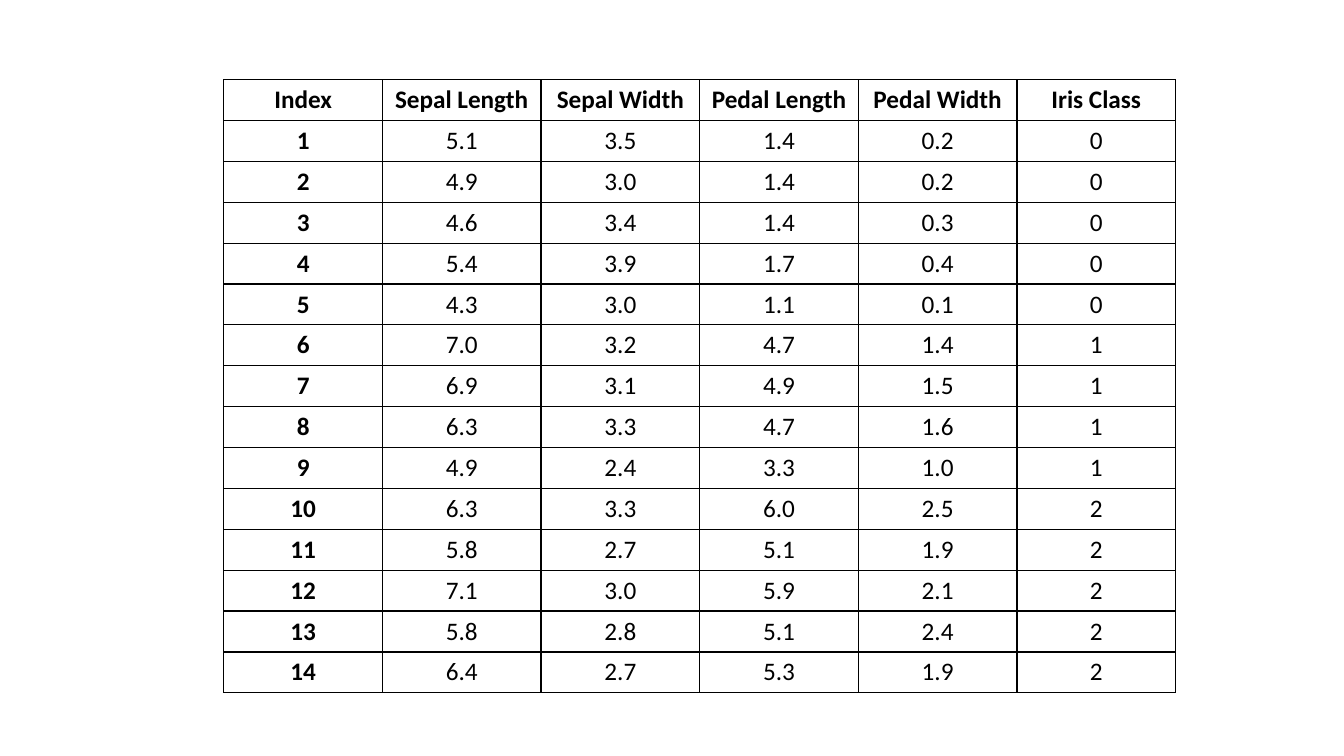
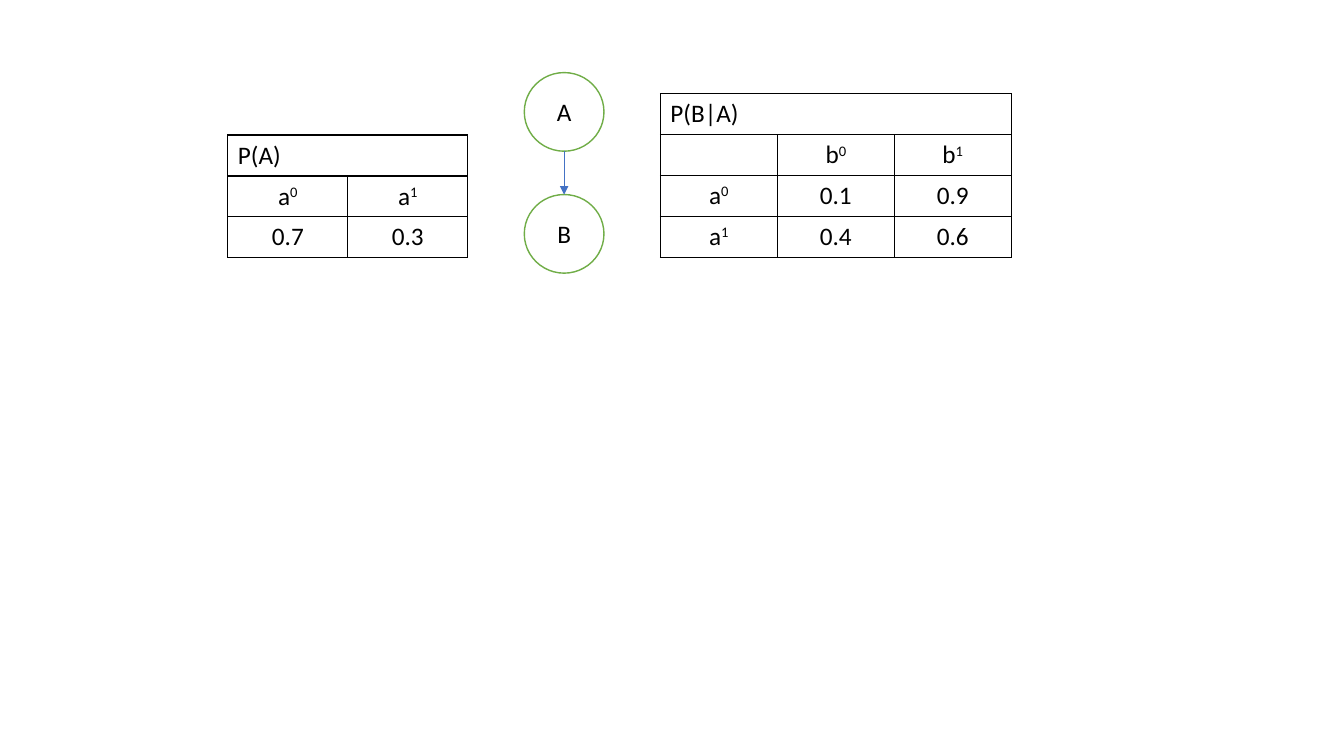
from lxml.etree import SubElement
from pptx import Presentation
from pptx.dml.color import RGBColor
from pptx.enum.shapes import MSO_CONNECTOR as Connector, MSO_SHAPE as Shape
from pptx.enum.text import MSO_ANCHOR as Anchor, PP_ALIGN as Align
from pptx.oxml.ns import qn
from pptx.util import Inches, Pt

BLACK = RGBColor(0x00, 0x00, 0x00)
WHITE = RGBColor(0xFF, 0xFF, 0xFF)
GREEN = RGBColor(0x70, 0xAD, 0x47)
BLUE = RGBColor(0x44, 0x72, 0xC4)

FONT = "Calibri"
TEXT_SIZE = Pt(18)
ROW_HEIGHT = Pt(29.2)
BLANK_LAYOUT = 6
NODE_LEFT, NODE_WIDTH, NODE_HEIGHT = Inches(5.2), Inches(0.79), Inches(0.78)

IRIS_HEADER = ["Index", "Sepal Length", "Sepal Width", "Pedal Length", "Pedal Width", "Iris Class"]
IRIS_SAMPLES = [
    ["5.1", "3.5", "1.4", "0.2", "0"],
    ["4.9", "3.0", "1.4", "0.2", "0"],
    ["4.6", "3.4", "1.4", "0.3", "0"],
    ["5.4", "3.9", "1.7", "0.4", "0"],
    ["4.3", "3.0", "1.1", "0.1", "0"],
    ["7.0", "3.2", "4.7", "1.4", "1"],
    ["6.9", "3.1", "4.9", "1.5", "1"],
    ["6.3", "3.3", "4.7", "1.6", "1"],
    ["4.9", "2.4", "3.3", "1.0", "1"],
    ["6.3", "3.3", "6.0", "2.5", "2"],
    ["5.8", "2.7", "5.1", "1.9", "2"],
    ["7.1", "3.0", "5.9", "2.1", "2"],
    ["5.8", "2.8", "5.1", "2.4", "2"],
    ["6.4", "2.7", "5.3", "1.9", "2"],
]
PRIOR = [["a^0", "a^1"], ["0.7", "0.3"]]
CONDITIONAL = [["", "b^0", "b^1"], ["a^0", "0.1", "0.9"], ["a^1", "0.4", "0.6"]]


def add_span(para, text, bold=False, raised=False):
    span = para.add_run()
    span.text = text
    span.font.name = FONT
    span.font.size = TEXT_SIZE
    span.font.bold = bold
    span.font.color.rgb = BLACK
    if raised:
        span._r.get_or_add_rPr().set("baseline", "30000")


def write(frame, text, bold=False, align=Align.CENTER):
    para = frame.paragraphs[0]
    para.alignment = align
    base, _, exponent = text.partition("^")
    if base:
        add_span(para, base, bold)
    if exponent:
        add_span(para, exponent, bold, raised=True)


def style_cell(cell):
    properties = cell._tc.get_or_add_tcPr()
    for side in ("a:lnL", "a:lnR", "a:lnT", "a:lnB"):
        border = SubElement(properties, qn(side), w=str(Pt(1)))
        fill = SubElement(border, qn("a:solidFill"))
        SubElement(fill, qn("a:srgbClr"), val=str(BLACK))
    cell.fill.background()


def add_grid(page, left, top, width, rows, title=None, bold_edges=False):
    offset = 1 if title else 0
    row_count, column_count = len(rows) + offset, len(rows[0])
    table = page.shapes.add_table(
        row_count, column_count, Inches(left), Inches(top),
        Inches(width), ROW_HEIGHT * row_count).table
    table.first_row = False
    table.horz_banding = False
    for cell in table.iter_cells():
        style_cell(cell)
    if title:
        table.cell(0, 0).merge(table.cell(0, column_count - 1))
        write(table.cell(0, 0).text_frame, title, align=Align.LEFT)
    for row, values in enumerate(rows):
        for column, value in enumerate(values):
            bold = bold_edges and (row == 0 or column == 0)
            write(table.cell(row + offset, column).text_frame, value, bold)


def add_node(page, label, top):
    node = page.shapes.add_shape(Shape.OVAL, NODE_LEFT, Inches(top), NODE_WIDTH, NODE_HEIGHT)
    node.shadow.inherit = False
    node.fill.solid()
    node.fill.fore_color.rgb = WHITE
    node.line.color.rgb = GREEN
    node.line.width = Pt(1)
    node.text_frame.vertical_anchor = Anchor.MIDDLE
    write(node.text_frame, label)
    return node


def add_arrow(page, parent, child):
    middle = parent.left + parent.width // 2
    arrow = page.shapes.add_connector(
        Connector.STRAIGHT, middle, parent.top + parent.height, middle, child.top)
    arrow.end_connect(child, 0)
    arrow.line.color.rgb = BLUE
    arrow.line.width = Pt(0.5)
    SubElement(arrow.line._get_or_add_ln(), qn("a:tailEnd"), type="triangle")
    SubElement(arrow._element.spPr, qn("a:effectLst"))


def add_iris_page(deck):
    page = deck.slides.add_slide(deck.slide_layouts[BLANK_LAYOUT])
    samples = [[str(index), *values] for index, values in enumerate(IRIS_SAMPLES, 1)]
    add_grid(page, 2.22, 0.79, 9.44, [IRIS_HEADER, *samples], bold_edges=True)


def add_network_page(deck):
    page = deck.slides.add_slide(deck.slide_layouts[BLANK_LAYOUT])
    add_grid(page, 2.26, 1.34, 2.38, PRIOR, title="P(A)")
    add_grid(page, 6.55, 0.93, 3.48, CONDITIONAL, title="P(B|A)")
    parent = add_node(page, "A", 0.72)
    child = add_node(page, "B", 1.93)
    add_arrow(page, parent, child)


def main():
    deck = Presentation()
    deck.slide_width, deck.slide_height = Inches(13.33), Inches(7.5)
    add_iris_page(deck)
    add_network_page(deck)
    deck.save("out.pptx")


if __name__ == "__main__":
    main()
